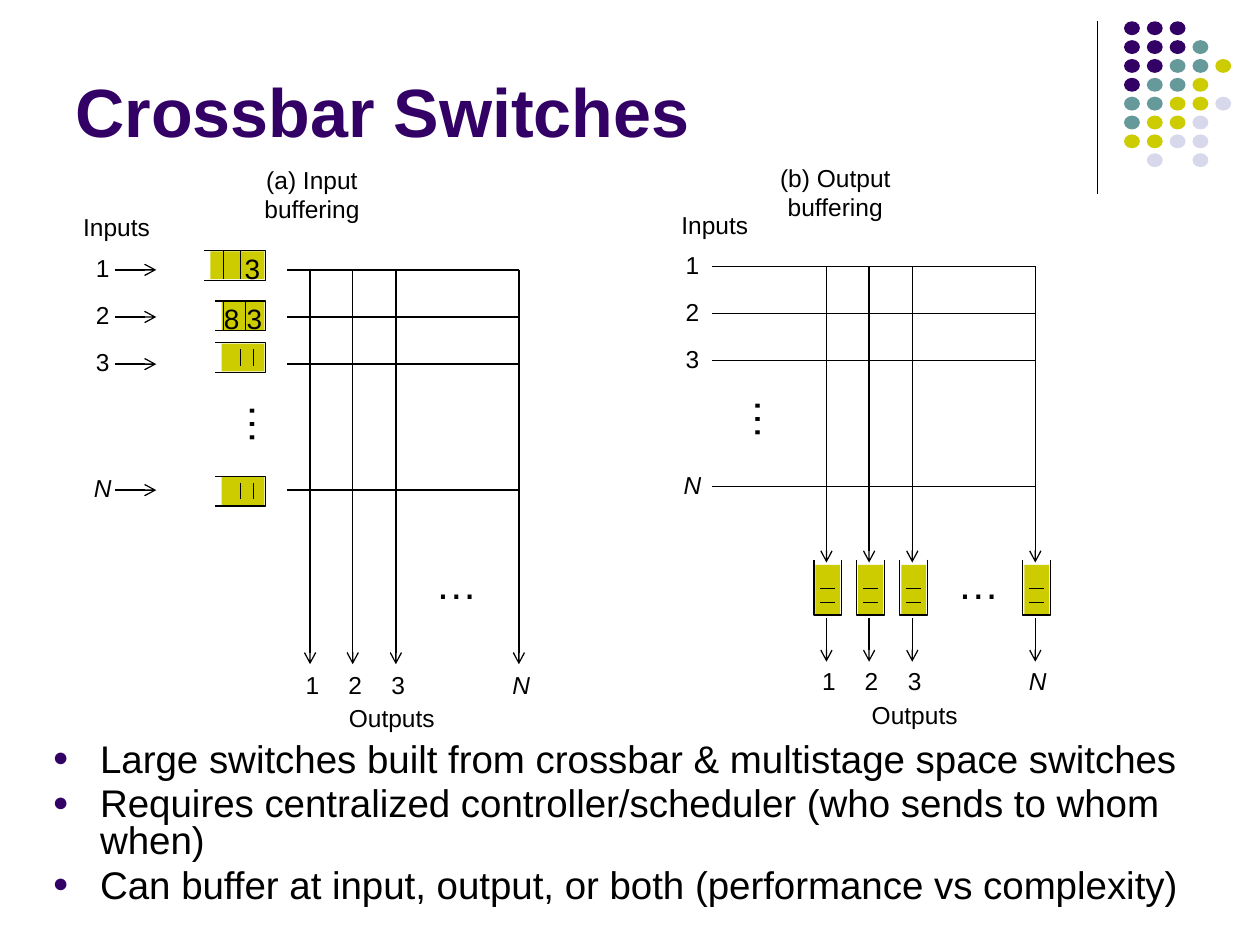
from lxml import etree
from pptx import Presentation
from pptx.dml.color import RGBColor
from pptx.enum.shapes import MSO_CONNECTOR, MSO_SHAPE
from pptx.enum.text import MSO_ANCHOR, PP_ALIGN
from pptx.oxml.ns import qn
from pptx.util import Cm, Pt

STRAIGHT = MSO_CONNECTOR.STRAIGHT
RECT, OVAL = MSO_SHAPE.RECTANGLE, MSO_SHAPE.OVAL
LEFT, CENTER = PP_ALIGN.LEFT, PP_ALIGN.CENTER
TOP, MIDDLE, BOTTOM = MSO_ANCHOR.TOP, MSO_ANCHOR.MIDDLE, MSO_ANCHOR.BOTTOM

# Content (lengths in cm)
COLORS = {"black": "000000", "purple": "330066", "teal": "669999",
          "olive": "CCCC00", "lilac": "D8D8EC"}
TITLE = "Crossbar Switches"
BULLETS = [
    "Large switches built from crossbar & multistage space switches",
    "Requires centralized controller/scheduler (who sends to whom when)",
    "Can buffer at input, output, or both (performance vs complexity)",
]
DOT_ROWS = ["PPP", "PPPT", "PPTTO", "PTTO", "TTOOL", "TOOL", "OOLL", " L L"]
DOT_COLORS = {"P": "purple", "T": "teal", "O": "olive", "L": "lilac"}
PORTS = ["1", "2", "3", "N"]
ROWS = [5.44, 6.39, 7.34, 9.88]
COLS = [6.25, 7.11, 7.98, 10.46]
PANELS = [
    {"caption": "(a) Input buffering", "caption_at": (6.29, 3.92), "caption_w": 2.4,
     "dx": 0, "dy": 0, "label_x": 2.07, "inputs_at": (2.35, 4.58),
     "outputs_at": (7.9, 14.47), "row_start": 5.79, "col_end": 13.39,
     "vdots": (4.11, 7.92), "hdots": (8.53, 11.1)},
    {"caption": "(b) Output buffering", "caption_at": (16.84, 3.87), "caption_w": 2.7,
     "dx": 10.41, "dy": -0.07, "label_x": 13.96, "inputs_at": (14.41, 4.53),
     "outputs_at": (18.44, 14.41), "row_start": 14.35, "col_end": 11.34,
     "vdots": (14.3, 7.82), "hdots": (19.05, 11.1)},
]
# Input queues: left, top, divider positions, divider inset, digits with centres
INPUT_QUEUES = [
    (4.11, 5.05, (4.5, 4.85), 0.02, [("3", 5.09)]),
    (4.34, 6.07, (4.5, 4.95), 0.02, [("8", 4.67), ("3", 5.13)]),
    (4.34, 6.91, (4.85, 5.11), 0.13, []),
    (4.34, 9.6, (4.85, 5.11), 0.13, []),
]
QUEUE_RIGHT, QUEUE_H = 5.36, 0.6

prs = Presentation()
prs.slide_width, prs.slide_height = Cm(25.4), Cm(19.05)
s = prs.slides.add_slide(prs.slide_layouts[6])


def rgb(name):
    return RGBColor.from_string(COLORS[name])


def add_text(text, x, y, w, h, size=14, color="black", bold=False, italic=False,
             align=LEFT, anchor=TOP, wrap=True, inset=(0.25, 0.13), rotation=0,
             bullet=False):
    """Add a text box; a list of strings gives one paragraph each."""
    sp = s.shapes.add_textbox(Cm(x), Cm(y), Cm(w), Cm(h))
    sp.rotation = rotation
    tf = sp.text_frame
    tf.word_wrap, tf.vertical_anchor = wrap, anchor
    tf.margin_left = tf.margin_right = Cm(inset[0])
    tf.margin_top = tf.margin_bottom = Cm(inset[1])
    for i, line in enumerate([text] if isinstance(text, str) else text):
        p = tf.paragraphs[0] if i == 0 else tf.add_paragraph()
        p.alignment = align
        if bullet:
            p.line_spacing = 0.8
            if i:
                p.space_before = Pt(size * 0.2)
            add_bullet(p)
        r = p.add_run()
        r.text = line
        f = r.font
        f.name, f.size, f.bold, f.italic = "Arial", Pt(size), bold, italic
        f.color.rgb = rgb(color)


def add_bullet(p):
    pPr = p._p.get_or_add_pPr()
    pPr.set("marL", str(Cm(0.96)))
    pPr.set("indent", str(-Cm(0.96)))
    clr = etree.SubElement(pPr, qn("a:buClr"))
    etree.SubElement(clr, qn("a:srgbClr"), val=COLORS["purple"])
    etree.SubElement(pPr, qn("a:buSzPct"), val="70000")
    etree.SubElement(pPr, qn("a:buFont"), typeface="Arial")
    etree.SubElement(pPr, qn("a:buChar"), char="●")


def add_label(text, cx, cy, w=2.2, size=14, wrap=False):
    add_text(text, cx - w / 2, cy - 0.42, w, 0.84, size=size, italic=text == "N",
             align=CENTER, anchor=MIDDLE, wrap=wrap, inset=(0, 0))


def add_line(x1, y1, x2, y2, arrow=False):
    c = s.shapes.add_connector(STRAIGHT, Cm(x1), Cm(y1), Cm(x2), Cm(y2))
    c.line.color.rgb, c.line.width = rgb("black"), Pt(0.75)
    if arrow:
        etree.SubElement(c.line._get_or_add_ln(), qn("a:tailEnd"), type="arrow")
    etree.SubElement(c._element.spPr, qn("a:effectLst"))


def add_fill(kind, x, y, w, h, color):
    sp = s.shapes.add_shape(kind, Cm(x), Cm(y), Cm(w), Cm(h))
    sp.shadow.inherit = False
    sp.fill.solid()
    sp.fill.fore_color.rgb = rgb(color)
    sp.line.fill.background()


def add_outline(points):
    start, *rest = [(Cm(x), Cm(y)) for x, y in points]
    fb = s.shapes.build_freeform(*start)
    fb.add_line_segments(rest, close=False)
    sp = fb.convert_to_shape()
    sp.shadow.inherit = False
    sp.fill.background()
    sp.line.color.rgb, sp.line.width = rgb("black"), Pt(0.75)


# Corner decoration
add_line(22.12, 0.43, 22.12, 3.91)
for i, row in enumerate(DOT_ROWS):
    for j, key in enumerate(row):
        if key in DOT_COLORS:
            add_fill(OVAL, 22.66 + 0.46 * j, 0.43 + 0.38 * i, 0.32, 0.28, DOT_COLORS[key])

# Crossbars with their labels
for panel in PANELS:
    rows = [y + panel["dy"] for y in ROWS]
    cols = [x + panel["dx"] for x in COLS]
    for port, x, y in zip(PORTS, cols, rows):
        add_line(panel["row_start"], y, cols[-1], y)
        add_line(x, rows[0], x, panel["col_end"], arrow=True)
        add_label(port, panel["label_x"], y - 0.04, w=0.8)
        add_label(port, x + 0.05, 13.8 + panel["dy"], w=0.8)
    add_label("Inputs", *panel["inputs_at"])
    add_label("Outputs", *panel["outputs_at"])
    add_label(panel["caption"], *panel["caption_at"], w=panel["caption_w"], wrap=True)
    add_text("…", *panel["vdots"], 1.35, 1.27, size=24, rotation=270)
    add_text("…", *panel["hdots"], 1.35, 1.27, size=24)

# Input queues
for y, (left, top, dividers, gap, digits) in zip(ROWS, INPUT_QUEUES):
    bottom = top + QUEUE_H
    add_line(2.31, y, 3.15, y, arrow=True)
    fill_left = max(left + 0.13, 4.32) if left > 4.2 else left + 0.13
    add_fill(RECT, fill_left, top + 0.02, QUEUE_RIGHT - 0.03 - fill_left, 0.56, "olive")
    add_outline([(left, top), (QUEUE_RIGHT, top), (QUEUE_RIGHT, bottom), (left, bottom)])
    for x in dividers:
        add_line(x, top + gap, x, bottom - gap)
    for digit, x in digits:
        add_label(digit, x, top + 0.35, w=0.8, size=16)

# Output queues
for x in (col + PANELS[1]["dx"] for col in COLS):
    cx = x + 0.03
    add_fill(RECT, cx - 0.25, 11.39, 0.5, 1.01, "olive")
    add_outline([(cx + 0.28, 11.28), (cx + 0.28, 12.4), (cx - 0.28, 12.4), (cx - 0.28, 11.28)])
    for y in (11.86, 12.14):
        add_line(cx - 0.15, y, cx + 0.15, y)
    add_line(x, 12.45, x, 13.34, arrow=True)

# Title and bullets
add_text(TITLE, 1.27, 0.33, 20.96, 2.84, size=39, color="purple", bold=True, anchor=BOTTOM)
add_text(BULLETS, 0.81, 14.86, 23.39, 2.29, size=22, bullet=True)

prs.save("out.pptx")
